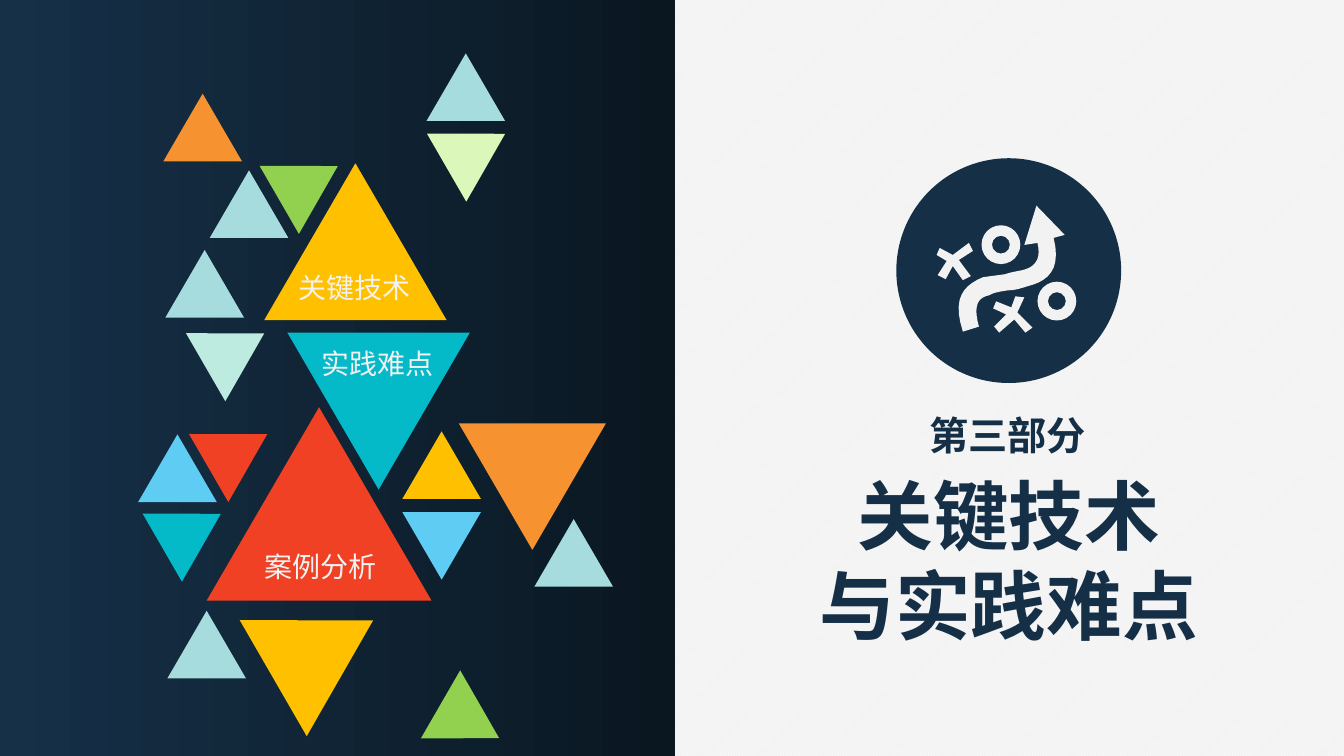
from dataclasses import dataclass

from lxml.etree import SubElement
from pptx import Presentation
from pptx.dml.color import RGBColor
from pptx.enum.dml import MSO_PATTERN
from pptx.enum.shapes import MSO_SHAPE
from pptx.enum.text import MSO_AUTO_SIZE, PP_ALIGN
from pptx.oxml.ns import qn
from pptx.util import Inches, Pt


@dataclass(frozen=True)
class Theme:
    font: str = "Noto Sans CJK SC"
    label_size: int = 20
    part_size: int = 28
    title_size: int = 54
    navy: str = "152F47"
    panel_start: str = "163048"
    panel_end: str = "0A1721"
    paper: str = "F2F2F2"
    white: str = "FFFFFF"
    mist: str = "A7DCDE"
    mint: str = "BEEBDF"
    lime: str = "DCF7BA"
    green: str = "92D050"
    teal: str = "05BAC8"
    sky: str = "5ECCF3"
    red: str = "F14124"
    orange: str = "F69230"
    gold: str = "FFC000"


THEME = Theme()
CELL = Inches(0.1)  # one column or row of the grid
COLUMNS, ROWS = 133.3, 75
FINE = 100  # outline steps in one cell
TRIANGLE_RATIO = 0.86

# Triangles: left, top, side, rotation, colour
UP, DOWN, TURNED, TURNED_UP = 0, 180, 60, 120
SMALL = 7.8
TRIANGLES = [
    (16.4, 24.8, SMALL, UP, THEME.mist),
    (42.3, 5.3, SMALL, UP, THEME.mist),
    (19.4, 31.4, SMALL, TURNED, THEME.mint),
    (28.5, 33, 18.1, DOWN, THEME.teal),
    (20.5, 40.4, 22.3, UP, THEME.red),
    (16.6, 60.6, SMALL, UP, THEME.mist),
    (13.7, 43.1, SMALL, UP, THEME.sky),
    (16.2, 9.3, SMALL, UP, THEME.orange),
    (20.8, 16.9, SMALL, UP, THEME.mist),
    (26.7, 14.8, SMALL, TURNED, THEME.green),
    (43.3, 11.6, SMALL, TURNED, THEME.lime),
    (15.1, 49.3, SMALL, TURNED, THEME.teal),
    (45.5, 42, 14.6, DOWN, THEME.orange),
    (39.9, 42.8, SMALL, UP, THEME.gold),
    (39.9, 50.8, SMALL, DOWN, THEME.sky),
    (19.7, 41.4, SMALL, TURNED, THEME.red),
    (25.4, 58.7, 13.3, TURNED, THEME.gold),
    (53, 51.5, SMALL, UP, THEME.mist),
    (26.2, 16.2, 18.1, UP, THEME.gold),
    (42.7, 68.2, SMALL, TURNED_UP, THEME.green),
]
LABELS = [(28.6, 26.3, "关键技术"), (30.9, 33.9, "实践难点"), (25.2, 54, "案例分析")]

# Emblem: each arrow step is a corner (one point) or a curve (two handles and an end)
ARROW = [
    [(95.5, 32.9)],
    [(94.4, 29.5), (95.6, 28.3), (97.5, 27.5)],
    [(98.2, 27.4), (99, 27.3), (99.7, 27.2)],
    [(100.3, 27), (100.9, 26.9), (101.4, 26.8)],
    [(102.6, 26.5), (103.3, 25.8), (102.9, 24.1)],
    [(101.6, 24.3)], [(102.8, 20.4)], [(105.6, 23.3)], [(104.5, 23.6)],
    [(105.3, 26.8), (103.9, 27.9), (101.9, 28.4)],
    [(101.3, 28.6), (100.6, 28.8), (100, 28.8)],
    [(99.3, 28.9), (98.6, 29), (98.1, 29.3)],
    [(97, 29.5), (96.5, 30.3), (97.1, 32.4)],
]
CROSSES = [
    [(93.2, 24.6), (92.9, 25.3), (93.9, 25.9), (93, 27.3), (93.8, 27.7), (94.5, 26.4),
     (95.5, 27.8), (96.3, 27.4), (95.1, 25.8), (96.5, 24.9), (96.1, 24.1), (94.5, 25.3)],
    [(101.6, 29.5), (100.7, 29.4), (100.3, 30.5), (98.8, 29.9), (98.5, 30.6), (99.8, 31.2),
     (98.6, 32.4), (99.1, 33), (100.6, 31.7), (101.7, 33), (102.4, 32.5), (100.9, 31)],
]
RINGS = [(97.35, 22.35), (102.9, 27.95)]
RING_SIZE, RING_BAND = 3.85, 0.27


def flatten(steps, pieces=10):
    """Turn corners and cubic curves into a plain list of points."""
    points = []
    for step in steps:
        if len(step) == 1:
            points.append(step[0])
            continue
        knots = [points[-1], *step]
        for piece in range(1, pieces + 1):
            t = piece / pieces
            weights = ((1 - t) ** 3, 3 * t * (1 - t) ** 2, 3 * t * t * (1 - t), t ** 3)
            points.append(tuple(sum(w * knot[axis] for w, knot in zip(weights, knots))
                                for axis in (0, 1)))
    return points


class SlideBuilder:
    def __init__(self, theme):
        self.theme = theme
        self.deck = Presentation()
        self.deck.slide_width = round(COLUMNS * CELL)
        self.deck.slide_height = ROWS * CELL
        self.page = self.deck.slides.add_slide(self.deck.slide_layouts[6])

    def backdrop(self):
        fill = self.page.background.fill
        fill.patterned()
        fill.pattern = MSO_PATTERN.LIGHT_UPWARD_DIAGONAL
        fill.fore_color.rgb = RGBColor.from_string(self.theme.white)
        fill.back_color.rgb = RGBColor.from_string(self.theme.paper)

    def paint(self, shape, colour):
        shape.shadow.inherit = False
        shape.line.fill.background()
        shape.fill.solid()
        shape.fill.fore_color.rgb = RGBColor.from_string(colour)

    def shape(self, kind, left, top, width, height, colour):
        shape = self.page.shapes.add_shape(
            kind, *(round(value * CELL) for value in (left, top, width, height)))
        self.paint(shape, colour)
        return shape

    def panel(self, width):
        fill = self.shape(MSO_SHAPE.RECTANGLE, 0, 0, width, ROWS, self.theme.navy).fill
        fill.gradient()
        fill.gradient_angle = 0
        for stop, colour in zip(fill.gradient_stops,
                                (self.theme.panel_start, self.theme.panel_end)):
            stop.color.rgb = RGBColor.from_string(colour)

    def triangle(self, left, top, side, rotation, colour):
        triangle = self.shape(MSO_SHAPE.ISOSCELES_TRIANGLE, left, top,
                              side, side * TRIANGLE_RATIO, colour)
        triangle.rotation = rotation

    def outline(self, points, colour):
        grid = [(round(x * FINE), round(y * FINE)) for x, y in points]
        builder = self.page.shapes.build_freeform(*grid[0], scale=CELL / FINE)
        builder.add_line_segments(grid[1:], close=True)
        self.paint(builder.convert_to_shape(), colour)

    def ring(self, left, top):
        ring = self.shape(MSO_SHAPE.DONUT, left, top, RING_SIZE, RING_SIZE, self.theme.paper)
        ring.adjustments[0] = RING_BAND

    def text(self, left, top, width, height, words, size, colour,
             bold=False, align=PP_ALIGN.LEFT):
        box = self.page.shapes.add_textbox(
            *(round(value * CELL) for value in (left, top, width, height)))
        frame = box.text_frame
        frame.text = words
        frame.word_wrap = False
        frame.auto_size = MSO_AUTO_SIZE.SHAPE_TO_FIT_TEXT
        for para in frame.paragraphs:
            para.alignment = align
            for span in para.runs:
                span.font.name = self.theme.font
                span.font.size = Pt(size)
                span.font.bold = bold
                span.font.color.rgb = RGBColor.from_string(colour)
                SubElement(span.font._element, qn("a:ea"), typeface=self.theme.font)


def main():
    slide = SlideBuilder(THEME)

    # Background and dark left panel
    slide.backdrop()
    slide.panel(66.9)

    # Section heading
    heading = {"colour": THEME.navy, "bold": True, "align": PP_ALIGN.CENTER}
    slide.text(80.1, 46, 39.9, 19.2, "关键技术\n与实践难点", THEME.title_size, **heading)
    slide.text(91.1, 40.3, 17.7, 5.7, "第三部分", THEME.part_size, **heading)

    # Strategy emblem
    slide.shape(MSO_SHAPE.OVAL, 88.9, 15.7, 22.3, 22.3, THEME.navy)
    for points in (flatten(ARROW), *CROSSES):
        slide.outline(points, THEME.paper)
    for left, top in RINGS:
        slide.ring(left, top)

    # Triangle mosaic and its labels
    for triangle in TRIANGLES:
        slide.triangle(*triangle)
    for left, top, words in LABELS:
        slide.text(left, top, 13.2, 4.4, words, THEME.label_size, THEME.paper)

    slide.deck.save("out.pptx")


if __name__ == "__main__":
    main()
